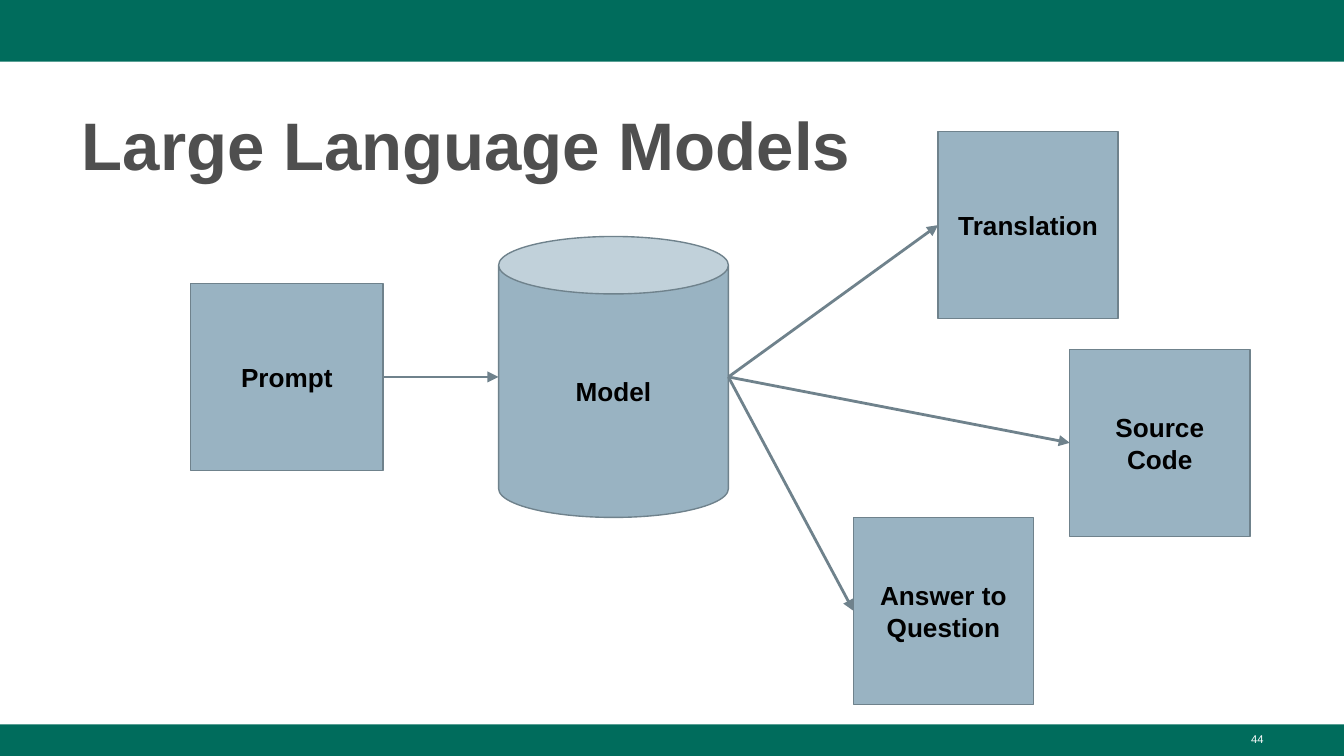
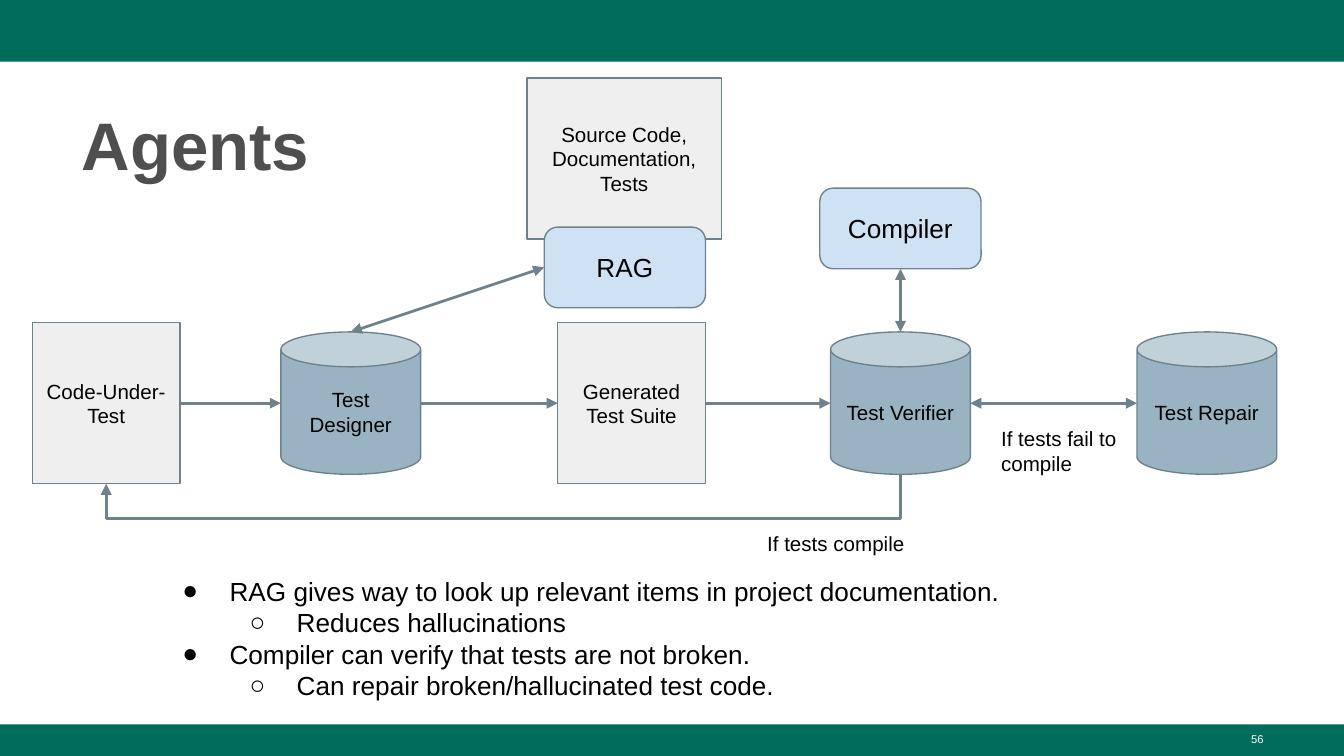
import pptx
import pptx.dml.color
import pptx.enum.shapes
import pptx.enum.text
import pptx.oxml
import pptx.oxml.ns
import pptx.util
from lxml import etree
from pptx.util import Inches

SHAPE = pptx.enum.shapes.MSO_SHAPE
CONNECTOR = pptx.enum.shapes.MSO_CONNECTOR
ALIGN = pptx.enum.text.PP_ALIGN
ANCHOR = pptx.enum.text.MSO_ANCHOR

FONT = "Arial"
GREEN = "006C5C"
TITLE_GREY = "4F4F4F"
STEEL = "99B3C2"
OUTLINE = "6F828C"
PALE_GREY = "EFEFEF"
PALE_BLUE = "CFE2F3"
BLACK = "000000"
WHITE = "FFFFFF"

SLIDE_WIDTH = 10
SLIDE_HEIGHT = SLIDE_WIDTH * 9 / 16
ROW_MIDDLE = 3.0


def color(hex_code):
    return pptx.dml.color.RGBColor.from_string(hex_code)


def add_xml(parent, tag, **attributes):
    return etree.SubElement(parent, pptx.oxml.ns.qn(tag), attributes)


def set_font(paragraph, size, hex_code=BLACK, bold=False):
    font = paragraph.font
    font.name = FONT
    font.size = pptx.util.Pt(size)
    font.bold = bold
    font.color.rgb = color(hex_code)


def set_insets(frame, vertical):
    frame.word_wrap = True
    frame.margin_left = frame.margin_right = Inches(0.1)
    frame.margin_top = frame.margin_bottom = Inches(vertical)


def add_text(slide, text, left, top, width, height, size,
             hex_code=BLACK, bold=False, align=ALIGN.LEFT, inset=0.1):
    box = slide.shapes.add_textbox(
        Inches(left), Inches(top), Inches(width), Inches(height))
    set_insets(box.text_frame, inset)
    paragraph = box.text_frame.paragraphs[0]
    paragraph.text = text
    paragraph.alignment = align
    set_font(paragraph, size, hex_code, bold)
    return paragraph


def add_band(slide, top, height):
    band = slide.shapes.add_shape(
        SHAPE.RECTANGLE, 0, Inches(top), Inches(SLIDE_WIDTH), Inches(height))
    band.shadow.inherit = False
    band.fill.solid()
    band.fill.fore_color.rgb = color(GREEN)
    band.line.fill.background()


def add_framed_slide(deck, title, number):
    """Add a slide with its green bands, page number and title."""
    slide = deck.slides.add_slide(deck.slide_layouts[6])
    add_band(slide, 0, 0.46)
    add_band(slide, 5.39, SLIDE_HEIGHT - 5.39)
    add_text(slide, str(number), 7.17, 5.4, 2.33, 0.23, 6, WHITE,
             align=ALIGN.RIGHT, inset=0.05)
    heading = add_text(slide, title, 0.51, 0.67, 8.99, 0.73, 36, TITLE_GREY,
                       bold=True, inset=0.05)
    heading.line_spacing = 1.08
    return slide


def add_node(slide, label, left, top, width, height, size,
             kind=SHAPE.RECTANGLE, fill=STEEL, bold=False):
    node = slide.shapes.add_shape(
        kind, Inches(left), Inches(top), Inches(width), Inches(height))
    node.shadow.inherit = False
    node.fill.solid()
    node.fill.fore_color.rgb = color(fill)
    node.line.color.rgb = color(OUTLINE)
    node.line.width = pptx.util.Pt(0.75)
    frame = node.text_frame
    set_insets(frame, 0.1)
    frame.vertical_anchor = ANCHOR.MIDDLE
    paragraph = frame.paragraphs[0]
    paragraph.text = label
    paragraph.alignment = ALIGN.CENTER
    set_font(paragraph, size, bold=bold)
    return node


def add_artifact(slide, label, left):
    return add_node(slide, label, left, ROW_MIDDLE - 0.6, 1.1, 1.2, 11,
                    fill=PALE_GREY)


def add_agent(slide, label, left):
    return add_node(slide, label, left, ROW_MIDDLE - 0.53, 1.04, 1.06, 11,
                    kind=SHAPE.CAN)


def add_tool(slide, label, left, top):
    return add_node(slide, label, left, top, 1.2, 0.6, 14,
                    kind=SHAPE.ROUNDED_RECTANGLE, fill=PALE_BLUE)


def side(node, name):
    """Return the middle of one side of a node."""
    center = node.left + node.width // 2
    middle = node.top + node.height // 2
    return {
        "left": (node.left, middle),
        "right": (node.left + node.width, middle),
        "top": (center, node.top),
        "bottom": (center, node.top + node.height),
    }[name]


def style_arrow(arrow, both_ways=False):
    arrow.line.color.rgb = color(OUTLINE)
    arrow.line.width = pptx.util.Pt(1.5)
    line = arrow.line._get_or_add_ln()
    if both_ways:
        add_xml(line, "a:headEnd", type="triangle")
    add_xml(line, "a:tailEnd", type="triangle")
    add_xml(arrow._element.spPr, "a:effectLst")


def add_arrow(slide, start, end, both_ways=False):
    arrow = slide.shapes.add_connector(CONNECTOR.STRAIGHT, *start, *end)
    style_arrow(arrow, both_ways)


def add_return_arrow(slide, start, end, lowest):
    """Lead an arrow down to lowest, left, and up to its end."""
    (start_x, start_y), (end_x, end_y) = start, end
    rise, run = end_y - start_y, start_x - end_x
    left = (start_x + end_x - rise) // 2
    top = (start_y + end_y - run) // 2
    arrow = slide.shapes.add_connector(
        CONNECTOR.ELBOW, left, top, left + rise, top + run)
    properties = arrow._element.spPr
    properties.find(pptx.oxml.ns.qn("a:xfrm")).set("rot", str(90 * 60000))
    geometry = properties.find(pptx.oxml.ns.qn("a:prstGeom"))
    guides = geometry.find(pptx.oxml.ns.qn("a:avLst"))
    if guides is None:
        guides = add_xml(geometry, "a:avLst")
    bend = round((lowest - start_y) / rise * 100000)
    add_xml(guides, "a:gd", name="adj1", fmla=f"val {bend}")
    style_arrow(arrow)


def add_bullets(slide, items, left, top, width, height):
    box = slide.shapes.add_textbox(
        Inches(left), Inches(top), Inches(width), Inches(height))
    frame = box.text_frame
    set_insets(frame, 0.1)
    for index, (level, text) in enumerate(items):
        paragraph = frame.paragraphs[0] if index == 0 else frame.add_paragraph()
        paragraph.text = text
        paragraph.level = level
        properties = paragraph._p.get_or_add_pPr()
        properties.set("marL", str(Inches(0.5 * (level + 1))))
        properties.set("indent", str(Inches(-0.35)))
        add_xml(add_xml(properties, "a:buClr"), "a:srgbClr", val=BLACK)
        add_xml(properties, "a:buFont", typeface=FONT)
        add_xml(properties, "a:buChar", char="●○"[level])
        set_font(paragraph, 14)


def build_models_slide(deck):
    slide = add_framed_slide(deck, "Large Language Models", 44)
    prompt = add_node(slide, "Prompt", 1.42, 2.11, 1.43, 1.39, 14, bold=True)
    model = add_node(slide, "Model", 3.71, 1.76, 1.71, 2.09, 14,
                     kind=SHAPE.CAN, bold=True)
    add_arrow(slide, side(prompt, "right"), side(model, "left"))
    for label, left, top in (
        ("Translation", 6.98, 0.98),
        ("Source Code", 7.96, 2.6),
        ("Answer to Question", 6.35, 3.85),
    ):
        output = add_node(slide, label, left, top, 1.34, 1.39, 14, bold=True)
        add_arrow(slide, side(model, "right"), side(output, "left"))


def build_agents_slide(deck):
    slide = add_framed_slide(deck, "Agents", 56)
    code = add_artifact(slide, "Code-Under-Test", 0.24)
    designer = add_agent(slide, "Test Designer", 2.09)
    suite = add_artifact(slide, "Generated Test Suite", 4.15)
    verifier = add_agent(slide, "Test Verifier", 6.18)
    repair = add_agent(slide, "Test Repair", 8.46)
    add_node(slide, "Source Code, Documentation, Tests", 3.92, 0.58, 1.45, 1.2,
             11, fill=PALE_GREY)
    rag = add_tool(slide, "RAG", 4.05, 1.69)
    compiler = add_tool(slide, "Compiler", 6.1, 1.4)

    pipeline = (code, designer, suite, verifier, repair)
    for source, target in zip(pipeline, pipeline[1:]):
        add_arrow(slide, side(source, "right"), side(target, "left"),
                  both_ways=target is repair)
    add_arrow(slide, side(designer, "top"), side(rag, "left"), both_ways=True)
    add_arrow(slide, side(verifier, "top"), side(compiler, "bottom"),
              both_ways=True)
    add_return_arrow(slide, side(verifier, "bottom"), side(code, "bottom"),
                     Inches(3.86))

    add_text(slide, "If tests fail to compile", 7.35, 3.09, 1.25, 0.18, 11)
    add_text(slide, "If tests compile", 5.61, 3.86, 1.25, 0.48, 11)
    add_bullets(slide, (
        (0, "RAG gives way to look up relevant items in project documentation."),
        (1, "Reduces hallucinations"),
        (0, "Compiler can verify that tests are not broken."),
        (1, "Can repair broken/hallucinated test code."),
    ), 1.11, 4.18, 6.57, 1.2)


def main():
    deck = pptx.Presentation()
    deck.slide_width = Inches(SLIDE_WIDTH)
    deck.slide_height = Inches(SLIDE_HEIGHT)
    build_models_slide(deck)
    build_agents_slide(deck)
    deck.save("out.pptx")


if __name__ == "__main__":
    main()
